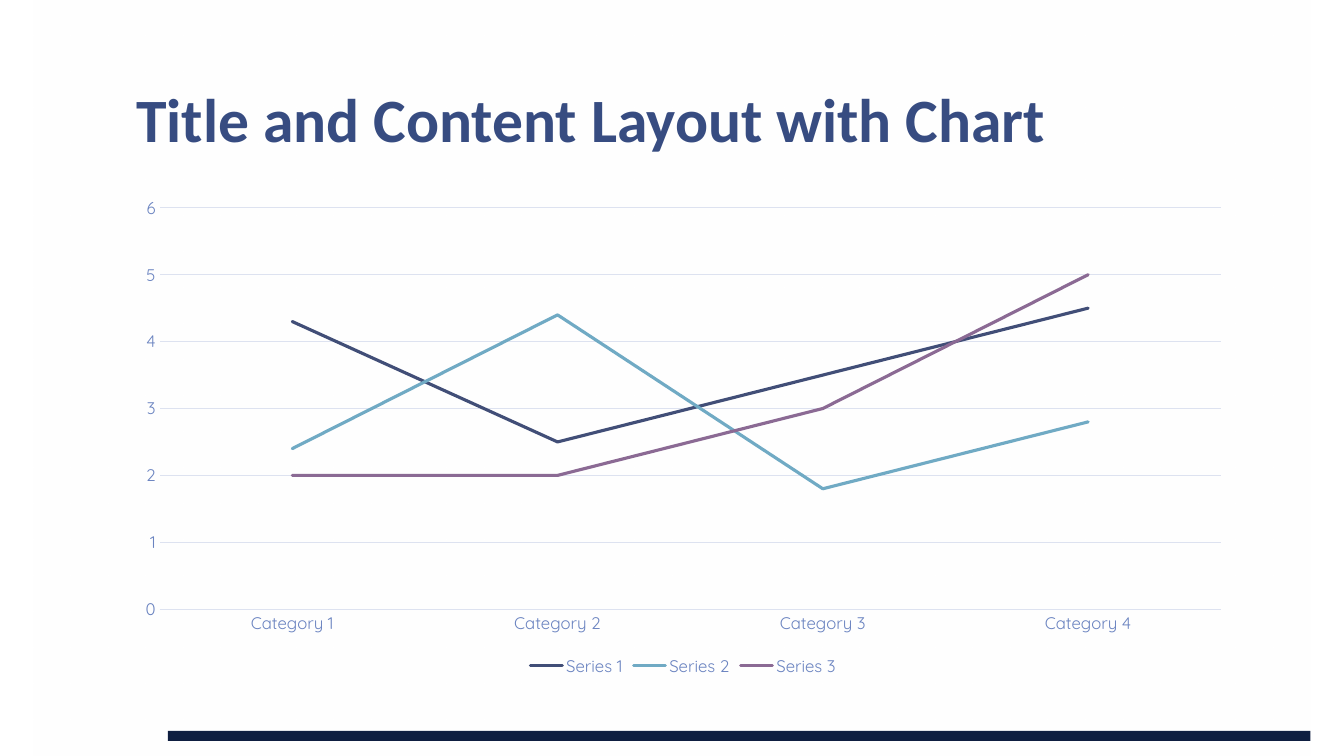
"""Build a slide with a title and a three-series line chart."""
import pptx
import pptx.chart.data
import pptx.dml.color
import pptx.enum.chart
import pptx.enum.shapes
import pptx.enum.text
import pptx.oxml
import pptx.oxml.ns
import pptx.util
from dataclasses import dataclass

TITLE = "Title and Content Layout with Chart"
CATEGORIES = ["Category 1", "Category 2", "Category 3", "Category 4"]
SERIES = {
    "Series 1": (4.3, 2.5, 3.5, 4.5),
    "Series 2": (2.4, 4.4, 1.8, 2.8),
    "Series 3": (2, 2, 3, 5),
}


@dataclass(frozen=True)
class Theme:
    """Colours, fonts and type sizes."""
    panel: str = "FFFFFF"
    bar: str = "0E1E40"
    title: str = "374C81"
    label: str = "6A83C0"
    grid: str = "DDE2F0"
    lines: tuple = ("414E77", "70AAC4", "8B6A94")
    title_font: str = "Calibri"
    chart_font: str = "Quicksand"
    title_size: int = 44
    label_size: int = 12
    line_width: float = 2.25
    grid_width: float = 0.75


THEME = Theme()
WIDTH, HEIGHT = 13.33, 7.5
MARGIN = WIDTH / 12
LEFT = MARGIN * 1.1
BODY_WIDTH = MARGIN * 10
AREAS = {
    "panel": (0.33, 0, WIDTH * 0.95, HEIGHT),
    "bar": (WIDTH / 8, HEIGHT - 0.25, WIDTH * 0.85, 0.1),
    "title": (LEFT, 0.08, BODY_WIDTH, 1.53),
    "chart": (LEFT, 1.86, BODY_WIDTH, 4.89),
}


def box(name):
    return [pptx.util.Inches(v) for v in AREAS[name]]


def rgb(color):
    return pptx.dml.color.RGBColor.from_string(color)


def apply(obj, **values):
    for name, value in values.items():
        setattr(obj, name, value)


def style_font(font, face, size, color, bold=False):
    apply(font, name=face, size=pptx.util.Pt(size), bold=bold)
    font.color.rgb = rgb(color)


def style_line(line, color, width):
    line.color.rgb = rgb(color)
    line.width = pptx.util.Pt(width)


def add_rect(slide, name):
    sp = slide.shapes.add_shape(pptx.enum.shapes.MSO_SHAPE.RECTANGLE, *box(name))
    sp.shadow.inherit = False
    sp.line.fill.background()
    return sp


def add_panel(slide):
    fill = add_rect(slide, "panel").fill
    fill.gradient()
    fill.gradient_angle = 230
    for stop in fill.gradient_stops:
        stop.color.rgb = rgb(THEME.panel)
    color = fill._xPr.findall(".//" + pptx.oxml.ns.qn("a:srgbClr"))[-1]
    color.append(pptx.oxml.parse_xml(
        f'<a:alpha {pptx.oxml.ns.nsdecls("a")} val="55000"/>'))


def add_bar(slide):
    fill = add_rect(slide, "bar").fill
    fill.solid()
    fill.fore_color.rgb = rgb(THEME.bar)


def add_title(slide):
    tf = slide.shapes.add_textbox(*box("title")).text_frame
    side, edge = pptx.util.Inches(0.13), pptx.util.Inches(0.07)
    apply(tf, word_wrap=True, vertical_anchor=pptx.enum.text.MSO_ANCHOR.BOTTOM,
          margin_left=side, margin_right=side, margin_top=edge, margin_bottom=edge)
    p = tf.paragraphs[0]
    p.line_spacing = 0.85
    r = p.add_run()
    r.text = TITLE
    style_font(r.font, THEME.title_font, THEME.title_size, THEME.title, True)


def add_line_chart(slide):
    data = pptx.chart.data.CategoryChartData()
    data.categories = CATEGORIES
    for name, values in SERIES.items():
        data.add_series(name, values)
    enums = pptx.enum.chart
    chart = slide.shapes.add_chart(enums.XL_CHART_TYPE.LINE, *box("chart"), data).chart
    apply(chart, has_title=False, has_legend=True)
    apply(chart.legend, position=enums.XL_LEGEND_POSITION.BOTTOM, include_in_layout=False)
    apply(chart.value_axis, minimum_scale=0, maximum_scale=6, major_unit=1,
          has_major_gridlines=True)
    for axis in (chart.category_axis, chart.value_axis):
        apply(axis, major_tick_mark=enums.XL_TICK_MARK.NONE,
              minor_tick_mark=enums.XL_TICK_MARK.NONE)
    for font in (chart.font, chart.legend.font, chart.category_axis.tick_labels.font,
                 chart.value_axis.tick_labels.font):
        style_font(font, THEME.chart_font, THEME.label_size, THEME.label)
    for line in (chart.category_axis.format.line,
                 chart.value_axis.major_gridlines.format.line):
        style_line(line, THEME.grid, THEME.grid_width)
    chart.value_axis.format.line.fill.background()
    plot = chart.plots[0]
    plot.vary_by_categories = False
    for series, color in zip(plot.series, THEME.lines):
        series.smooth = False
        series.marker.style = enums.XL_MARKER_STYLE.NONE
        style_line(series.format.line, color, THEME.line_width)
        series.format.line._get_or_add_ln().set("cap", "rnd")


def main():
    prs = pptx.Presentation()
    apply(prs, slide_width=pptx.util.Inches(WIDTH), slide_height=pptx.util.Inches(HEIGHT))
    slide = prs.slides.add_slide(prs.slide_layouts[6])
    for add in (add_panel, add_bar, add_title, add_line_chart):
        add(slide)
    prs.save("out.pptx")


if __name__ == "__main__":
    main()
